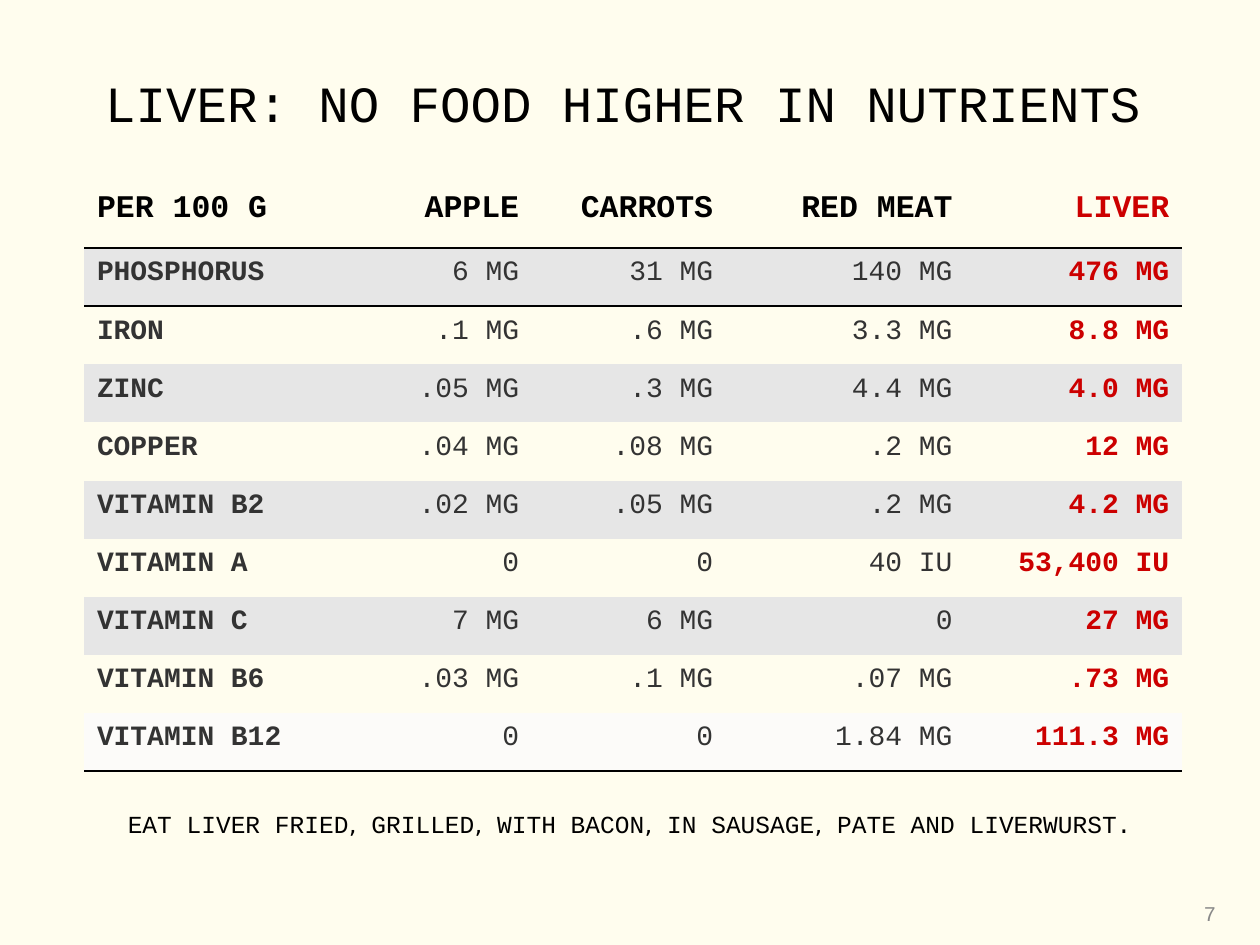
from dataclasses import dataclass

from lxml.etree import SubElement
from pptx import Presentation
from pptx.dml.color import RGBColor as Rgb
from pptx.enum.text import MSO_ANCHOR as Anchor, MSO_AUTO_SIZE as AutoSize, PP_ALIGN as Align
from pptx.oxml.ns import qn
from pptx.util import Inches, Pt


@dataclass(frozen=True)
class Theme:
    background: str = "FFFDEE"
    ink: str = "000000"
    body: str = "333333"
    accent: str = "CC0000"
    band: str = "E6E6E6"
    last_band: str = "FCFBF9"
    muted: str = "898989"
    font: str = "Courier New"
    comma_font: str = "DejaVu Sans"
    title_size: int = 29
    header_size: int = 18
    body_size: int = 16
    advice_size: int = 14
    number_size: int = 12
    rule_width: float = 1.08


@dataclass(frozen=True)
class Area:
    left: float
    top: float
    width: float
    height: float

    def lengths(self) -> tuple:
        return tuple(map(Inches, (self.left, self.top, self.width, self.height)))


@dataclass(frozen=True)
class Nutrient:
    name: str
    apple: str
    carrots: str
    red_meat: str
    liver: str

    def texts(self) -> tuple:
        return self.name, self.apple, self.carrots, self.red_meat, self.liver


THEME = Theme()
TITLE_AREA = Area(0.2, 0.5, 9.5, 0.62)
TABLE_AREA = Area(0.67, 1.47, 8.71, 4.65)
ADVICE_AREA = Area(0.6, 6.37, 8.8, 0.34)
NUMBER_AREA = Area(7.67, 7, 2.08, 0.5)
COLUMN_WIDTHS = (2.19, 1.36, 1.54, 1.9, 1.72)
HEADER_HEIGHT = 0.5
NO_GRID_STYLE = "{2D5ABB26-0587-4C30-8999-92F81FD0307C}"

HEADER = Nutrient("PER 100 G", "APPLE", "CARROTS", "RED MEAT", "LIVER")
NUTRIENTS = (
    Nutrient("PHOSPHORUS", "6 MG", "31 MG", "140 MG", "476 MG"),
    Nutrient("IRON", ".1 MG", ".6 MG", "3.3 MG", "8.8 MG"),
    Nutrient("ZINC", ".05 MG", ".3 MG", "4.4 MG", "4.0 MG"),
    Nutrient("COPPER", ".04 MG", ".08 MG", ".2 MG", "12 MG"),
    Nutrient("VITAMIN B2", ".02 MG", ".05 MG", ".2 MG", "4.2 MG"),
    Nutrient("VITAMIN A", "0", "0", "40 IU", "53,400 IU"),
    Nutrient("VITAMIN C", "7 MG", "6 MG", "0", "27 MG"),
    Nutrient("VITAMIN B6", ".03 MG", ".1 MG", ".07 MG", ".73 MG"),
    Nutrient("VITAMIN B12", "0", "0", "1.84 MG", "111.3 MG"),
)
ADVICE = "EAT LIVER FRIED, GRILLED, WITH BACON, IN SAUSAGE, PATE AND LIVERWURST."


def style(para, size: int, color: str, align, bold: bool = False) -> None:
    para.alignment = align
    para.font.name = THEME.font
    para.font.size = Pt(size)
    para.font.bold = bold
    para.font.color.rgb = Rgb.from_string(color)


def add_rule(cell, side: str) -> None:
    """Draw one border of a cell; borders come before the fill in the XML."""
    properties = cell._tc.get_or_add_tcPr()
    line = SubElement(properties, qn(f"a:{side}"), w=str(Pt(THEME.rule_width)))
    SubElement(SubElement(line, qn("a:solidFill")), qn("a:srgbClr"), val=THEME.ink)
    properties.insert(0, line)


def fill_cell(cell, text: str, row: int, column: int) -> None:
    is_header, is_last = row == 0, row == len(NUTRIENTS)
    is_name, is_liver = column == 0, column == len(COLUMN_WIDTHS) - 1
    para = cell.text_frame.paragraphs[0]
    para.text = text
    if not is_header:
        para.line_spacing = 1.1
    plain = THEME.ink if is_header else THEME.body
    style(para, THEME.header_size if is_header else THEME.body_size,
          THEME.accent if is_liver else plain,
          Align.LEFT if is_name else Align.RIGHT,
          bold=is_header or is_name or is_liver)

    # Odd rows are banded, the last one more lightly
    if row % 2:
        cell.fill.solid()
        cell.fill.fore_color.rgb = Rgb.from_string(THEME.last_band if is_last else THEME.band)
    else:
        cell.fill.background()
    if is_header or is_last:
        add_rule(cell, "lnB")
    if row == 1:
        add_rule(cell, "lnT")


def add_nutrient_table(page) -> None:
    rows = (HEADER, *NUTRIENTS)
    frame = page.shapes.add_table(len(rows), len(COLUMN_WIDTHS), *TABLE_AREA.lengths())
    table = frame.table
    table.first_row = table.horz_banding = False
    table._tbl.tblPr.find(qn("a:tableStyleId")).text = NO_GRID_STYLE
    for column, width in zip(table.columns, COLUMN_WIDTHS):
        column.width = Inches(width)
    body_height = (TABLE_AREA.height - HEADER_HEIGHT) / len(NUTRIENTS)
    for row, nutrient in enumerate(rows):
        table.rows[row].height = Inches(body_height if row else HEADER_HEIGHT)
        for column, text in enumerate(nutrient.texts()):
            fill_cell(table.cell(row, column), text, row, column)


def add_title(page, text: str) -> None:
    title = page.shapes.title
    title.left, title.top, title.width, title.height = TITLE_AREA.lengths()
    frame = title.text_frame
    frame.text = text
    frame.auto_size = AutoSize.NONE
    frame.vertical_anchor = Anchor.MIDDLE
    style(frame.paragraphs[0], THEME.title_size, THEME.ink, Align.CENTER)


def add_text(page, area: Area, anchor):
    frame = page.shapes.add_textbox(*area.lengths()).text_frame
    frame.word_wrap = True
    frame.vertical_anchor = anchor
    return frame


def add_advice(page) -> None:
    frame = add_text(page, ADVICE_AREA, Anchor.TOP)
    frame.auto_size = AutoSize.SHAPE_TO_FIT_TEXT
    para = frame.paragraphs[0]
    style(para, THEME.advice_size, THEME.ink, Align.CENTER)
    # Commas are set in their own typeface
    for index, phrase in enumerate(ADVICE.split(",")):
        if index:
            comma = para.add_run()
            comma.text = ","
            comma.font.name = THEME.comma_font
        span = para.add_run()
        span.text = phrase
        span.font.name = THEME.font


def add_page_number(page, number: str) -> None:
    para = add_text(page, NUMBER_AREA, Anchor.MIDDLE).paragraphs[0]
    para.text = number
    style(para, THEME.number_size, THEME.muted, Align.RIGHT)


def main() -> None:
    deck = Presentation()
    deck.slide_width, deck.slide_height = Inches(10), Inches(7.5)
    page = deck.slides.add_slide(deck.slide_layouts.get_by_name("Title Only"))
    page.background.fill.solid()
    page.background.fill.fore_color.rgb = Rgb.from_string(THEME.background)

    add_title(page, "LIVER: NO FOOD HIGHER IN NUTRIENTS")
    add_nutrient_table(page)
    add_advice(page)
    add_page_number(page, "7")
    deck.save("out.pptx")


if __name__ == "__main__":
    main()
